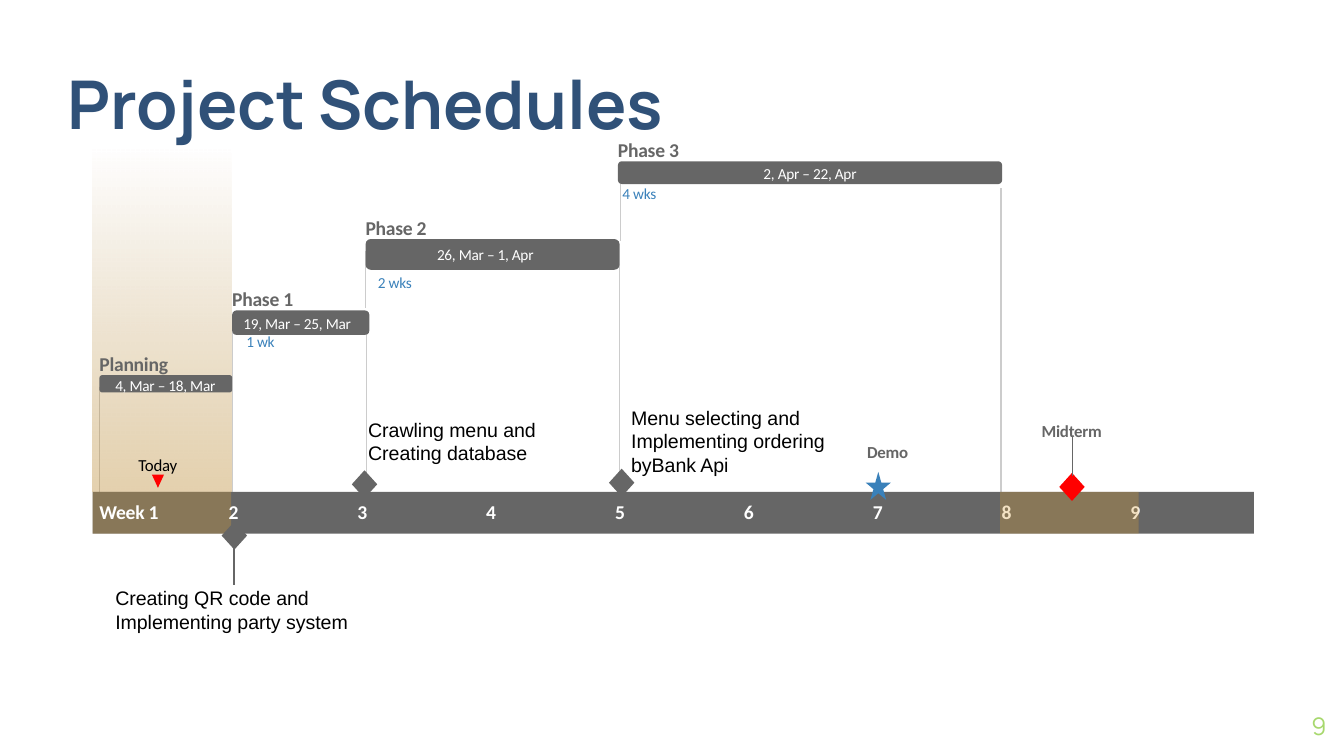
"""Build the project schedule slide: a week timeline with phases and milestones."""
from lxml.etree import SubElement
from pptx import Presentation
from pptx.dml.color import RGBColor
from pptx.enum.shapes import MSO_CONNECTOR, MSO_SHAPE as Shape
from pptx.enum.text import MSO_ANCHOR as Anchor, PP_ALIGN as Align
from pptx.oxml.ns import qn
from pptx.util import Cm, Pt

COLORS = {
    "title": "305178", "number": "A7D86D", "gray": "666666", "rule": "CCCCCC",
    "glow": "FFBD47", "tint": "D89F39", "red": "FF0000", "blue": "3A81BA",
    "white": "FFFFFF", "black": "000000",
}

STYLES = {
    "title": ({"name": "Manrope", "size": Pt(36), "bold": True}, "title", 0),
    "number": ({"name": "Manrope", "size": Pt(13)}, "number", 0),
    "week": ({"name": "Calibri", "size": Pt(10.5), "bold": True}, "white", -10),
    "phase": ({"name": "Calibri", "size": Pt(10.5), "bold": True}, "gray", -10),
    "dates": ({"name": "Calibri", "size": Pt(8.2)}, "white", -10),
    "duration": ({"name": "Calibri", "size": Pt(8.2)}, "blue", -10),
    "today": ({"name": "Calibri", "size": Pt(9)}, "black", -10),
    "event": ({"name": "Calibri", "size": Pt(9), "bold": True}, "gray", -10),
    "note": ({"name": "Arial", "size": Pt(10.5)}, "black", 0),
}

WEEKS = ["2", "3", "4", "5", "6", "7", "8", "9"]
WEEK_LEFT, WEEK_STEP = 4.32, 2.435
BAR_LEFT, BAR_TOP, BAR_WIDTH, BAR_HEIGHT = 1.75, 9.3, 21.95, 0.79
SPAN_WIDTH, LABEL_HEIGHT, SMALL_HEIGHT = 2.62, 0.45, 0.36
MARK_WIDTH, MARK_HEIGHT = 0.48, 0.53

RULES = [
    (4.42, 10.29, 11.05, "gray"), (1.88, 7.32, 9.3, "rule"),
    (4.39, 6.07, 9.32, "rule"), (11.71, 5.0, 9.32, "rule"),
    (6.93, 6.25, 9.32, "rule"), (6.91, 4.75, 5.82, "rule"),
    (18.92, 3.56, 9.4, "rule"), (11.73, 3.48, 4.55, "rule"),
]
MIDTERM_RULE = (20.27, 8.26, 8.99, "gray")

PHASES = [
    ("Phase 3", (11.68, 3.05, 7.26, 0.43), "2, Apr – 22, Apr", (14.43, 3.1, 1.83),
     "4 wks", (11.68, 3.48, 0.81)),
    ("Phase 2", (6.91, 4.52, 4.8, 0.58), "26, Mar – 1, Apr", (8.26, 4.62, 2.31),
     "2 wks", (6.93, 5.16, 1.07)),
    ("Phase 1", (4.39, 5.87, 2.59, 0.46), "19, Mar – 25, Mar", (4.6, 5.94, 2.39),
     "1 wk", (4.39, 6.27, 1.07)),
    ("Planning", (1.88, 7.09, 2.51, 0.33), "4, Mar – 18, Mar", (2.18, 7.11, 2.03),
     "", None),
]
MILESTONES = [
    (Shape.STAR_5_POINT, 16.36, 8.92, "blue"), (Shape.DIAMOND, 4.19, 9.86, "gray"),
    (Shape.DIAMOND, 6.65, 8.89, "gray"), (Shape.DIAMOND, 11.51, 8.86, "gray"),
]
NOTES = [
    ("Creating QR code and Implementing party system", (1.93, 10.95, 5.31, 1.14)),
    ("Crawling menu and Creating database", (6.71, 7.77, 4.93, 1.14)),
    ("Menu selecting and Implementing ordering byBank Api", (11.68, 7.54, 4.93, 1.6)),
]


def color(name):
    return RGBColor.from_string(COLORS[name])


def set_alpha(color_element, percent):
    SubElement(color_element, qn("a:alpha")).set("val", str(percent * 1000))


def add_text(slide, text, place, style, align=Align.LEFT, anchor=Anchor.MIDDLE,
             wrap=False, inset=(0, 0)):
    box = slide.shapes.add_textbox(*map(Cm, place))
    across, down = map(Cm, inset)
    frame = box.text_frame
    layout = {"word_wrap": wrap, "vertical_anchor": anchor, "margin_left": across,
              "margin_right": across, "margin_top": down, "margin_bottom": down}
    for key, value in layout.items():
        setattr(frame, key, value)
    para = frame.paragraphs[0]
    para.alignment = align
    span = para.add_run()
    span.text = text
    font_values, color_name, spacing = STYLES[style]
    for key, value in font_values.items():
        setattr(span.font, key, value)
    span.font.color.rgb = color(color_name)
    if spacing:
        span.font._element.set("spc", str(spacing))


def add_block(slide, kind, place, color_name, opacity=100):
    block = slide.shapes.add_shape(kind, *map(Cm, place))
    block.shadow.inherit = False
    block.line.fill.background()
    block.fill.solid()
    block.fill.fore_color.rgb = color(color_name)
    if opacity < 100:
        set_alpha(block._element.spPr.find(".//" + qn("a:srgbClr")), opacity)
    return block


def add_rule(slide, x, top, bottom, color_name):
    rule = slide.shapes.add_connector(
        MSO_CONNECTOR.STRAIGHT, *map(Cm, (x, top, x, bottom)))
    rule.line.color.rgb = color(color_name)
    rule.line.width = Pt(0.75)
    SubElement(rule._element.spPr, qn("a:effectLst"))


def add_glow(slide):
    top = 2.79
    glow = add_block(slide, Shape.RECTANGLE,
                     (BAR_LEFT, top, SPAN_WIDTH, BAR_TOP - top), "glow")
    glow.fill.gradient()
    glow.fill.gradient_angle = 270
    for stop, opacity in zip(glow.fill.gradient_stops, (0, 30)):
        stop.color.rgb = color("glow")
        set_alpha(stop._gs.find(qn("a:srgbClr")), opacity)
    effects = glow._element.spPr.find(qn("a:effectLst"))
    shadow = SubElement(effects, qn("a:outerShdw"), blurRad="0", dist="0", dir="0")
    set_alpha(SubElement(shadow, qn("a:srgbClr"), val=COLORS["black"]), 50)


def add_phase(slide, name, bar, dates, dates_place, duration, duration_place):
    left, top = bar[:2]
    add_block(slide, Shape.ROUNDED_RECTANGLE, bar, "gray")
    add_text(slide, name, (left, top - 0.44, 1.63, LABEL_HEIGHT), "phase")
    if duration:
        add_text(slide, duration, (*duration_place, SMALL_HEIGHT), "duration", Align.CENTER)
    add_text(slide, dates, (*dates_place, SMALL_HEIGHT), "dates", wrap=True)


def main():
    deck = Presentation()
    deck.slide_width, deck.slide_height = Cm(25.4), Cm(14.29)
    slide = deck.slides.add_slide(deck.slide_layouts[6])
    add_text(slide, "9", (23.55, 13.18, 1.52, 1.09), "number", Align.RIGHT)
    add_text(slide, "Project Schedules", (1.27, 0.97, 22.71, 1.73), "title",
             anchor=Anchor.BOTTOM, wrap=True)
    for rule in RULES:
        add_rule(slide, *rule)
    add_glow(slide)
    add_block(slide, Shape.RECTANGLE, (BAR_LEFT, BAR_TOP, BAR_WIDTH, BAR_HEIGHT), "gray")
    add_block(slide, Shape.RECTANGLE, (BAR_LEFT, BAR_TOP, SPAN_WIDTH, BAR_HEIGHT), "tint", 30)
    today = add_block(slide, Shape.ISOSCELES_TRIANGLE, (2.87, 8.97, 0.23, 0.25), "red")
    today.rotation = 180
    add_text(slide, "Today", (2.59, 8.59, 0.79, 0.38), "today", Align.CENTER)
    add_text(slide, "Week 1", (1.88, 9.45, 1.17, LABEL_HEIGHT), "week")
    for index, week in enumerate(WEEKS):
        place = (WEEK_LEFT + index * WEEK_STEP, 9.45, 0.36, LABEL_HEIGHT)
        add_text(slide, week, place, "week", wrap=True)
    add_text(slide, "Demo", (16.1, 8.36, 1.35, 0.38), "event", Align.CENTER)
    for kind, left, top, fill in MILESTONES:
        add_block(slide, kind, (left, top, MARK_WIDTH, MARK_HEIGHT), fill)
    for phase in PHASES:
        add_phase(slide, *phase)
    for text, place in NOTES:
        add_text(slide, text, place, "note", anchor=Anchor.TOP, wrap=True, inset=(0.25, 0.13))
    add_block(slide, Shape.RECTANGLE, (18.9, BAR_TOP, SPAN_WIDTH, BAR_HEIGHT), "tint", 30)
    add_block(slide, Shape.DIAMOND, (20.02, 8.94, MARK_WIDTH, MARK_HEIGHT), "red")
    add_rule(slide, *MIDTERM_RULE)
    add_text(slide, "Midterm", (19.58, 7.95, 1.35, 0.38), "event", Align.CENTER)
    deck.save("out.pptx")


if __name__ == "__main__":
    main()
